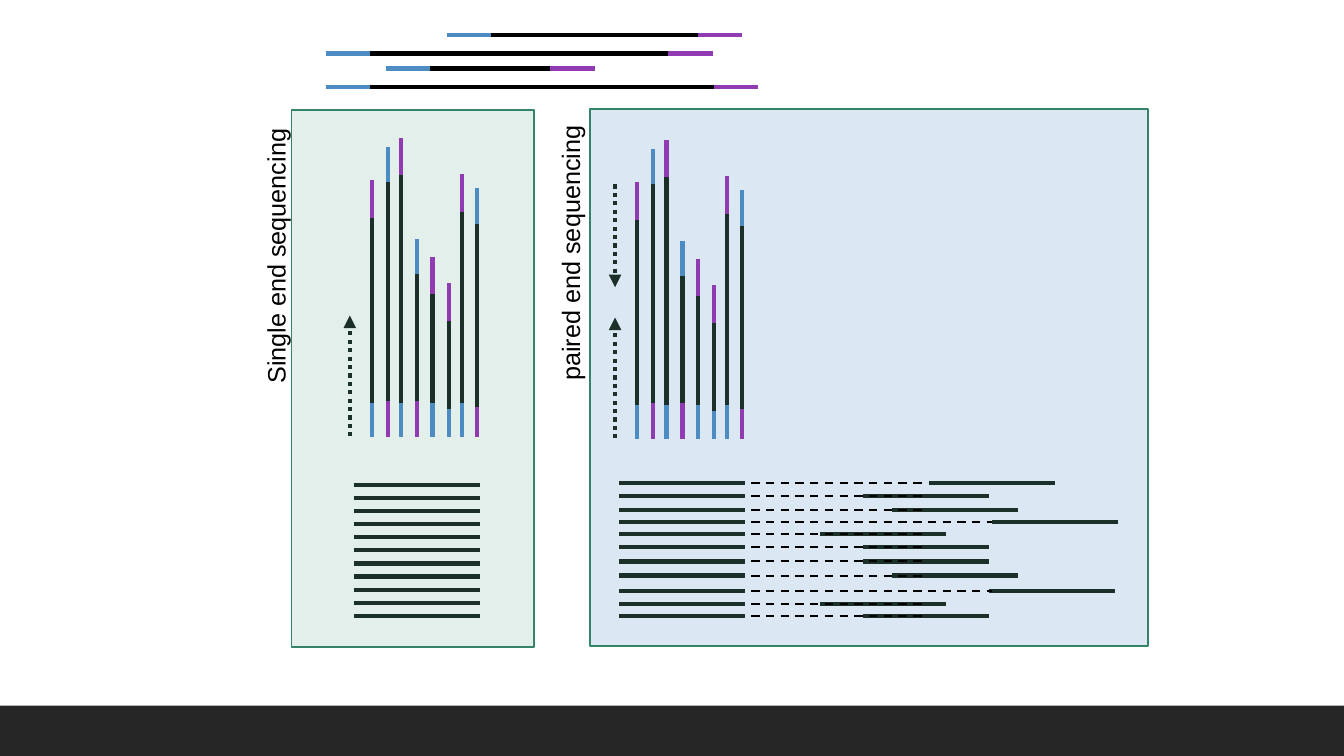
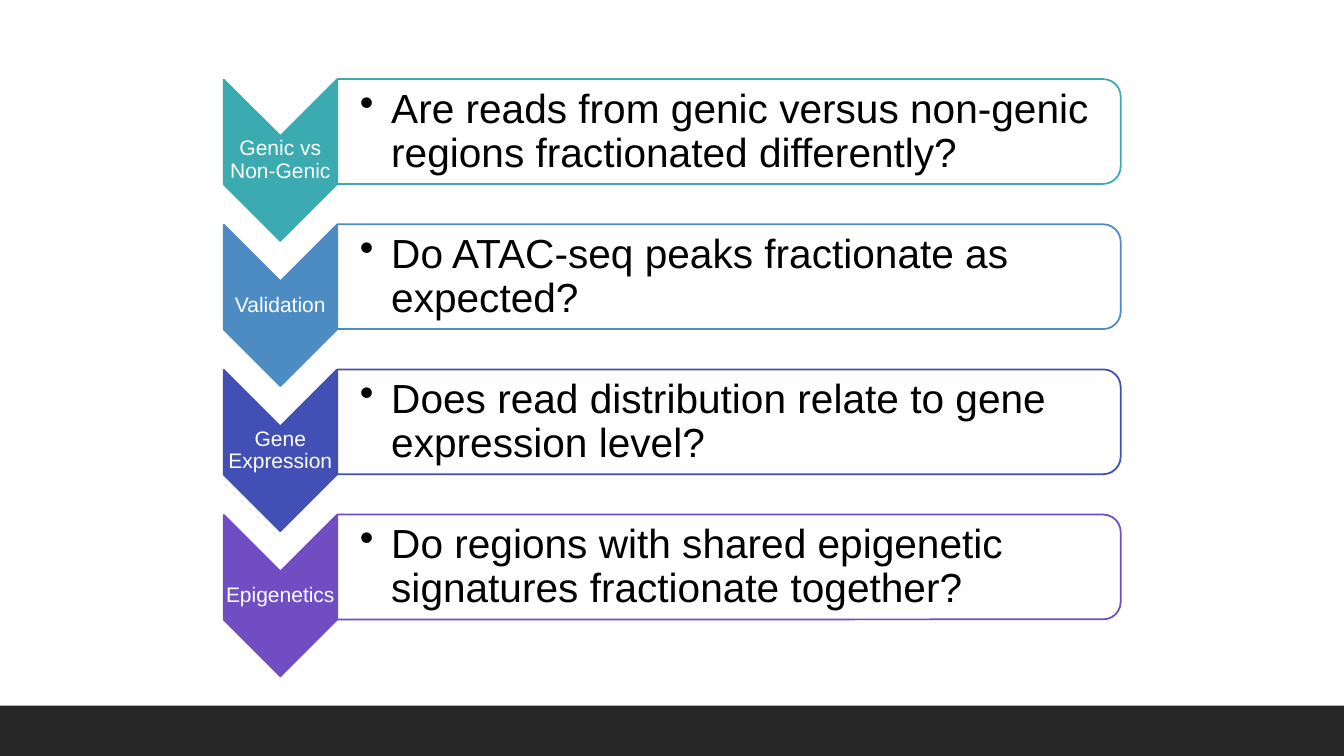
from pptx import Presentation, util as u
from pptx.dml.color import RGBColor
from pptx.enum import dml, shapes, text
from pptx.oxml.ns import qn
from lxml import etree

WIDTH, HEIGHT = 13.33, 7.5
FONT = "Arial"
BLACK, WHITE, BAND = "000000", "FFFFFF", "262626"
BLUE, PURPLE, DARK, PANEL_EDGE = "4D8CC3", "903BB1", "1B3028", "348467"
SHAPE, DASH = shapes.MSO_SHAPE, dml.MSO_LINE

# Sequencing slide
FRAGMENTS = [(0.35, 4.43, 7.36), (0.53, 3.23, 7.07),  # y, left, right
             (0.68, 3.83, 5.9), (0.86, 3.23, 7.52)]
ADAPTER = 0.44
STRANDS = [  # x, top, colour of the top end, length of the lower end
    (3.69, 1.79, PURPLE, 0.34), (3.85, 1.46, BLUE, 0.36),
    (3.98, 1.37, PURPLE, 0.34), (4.14, 2.37, BLUE, 0.36),
    (4.29, 2.55, PURPLE, 0.34), (4.45, 2.81, PURPLE, 0.28),
    (4.58, 1.73, PURPLE, 0.34), (4.73, 1.87, BLUE, 0.3)]
STRAND_BOTTOM = 4.34
END_LENGTH = {BLUE: 0.35, PURPLE: 0.37}
OPPOSITE = {BLUE: PURPLE, PURPLE: BLUE}
PANELS = [  # box, fill, label, label box, strand shift
    ((5.85, 1.08, 5.54, 5.33), "DBE8F3", "paired end sequencing",
     (3.99, 2.01, 3.33, 0.4), (2.63, 0.02)),
    ((2.89, 1.09, 2.41, 5.33), "E3EFEB", "Single end sequencing",
     (1.07, 2.04, 3.33, 0.4), (0, 0))]
READ_ARROWS = [(3.47, 4.33, 3.13), (6.1, 4.35, 3.15), (6.1, 1.83, 2.85)]
READ_LENGTH = 1.25
SINGLE_LEFT, SINGLE_TOP, SINGLE_STEP, SINGLE_COUNT = 3.51, 4.81, 0.13, 11
PAIRED_LEFT, GAP_LEFT, GAP_RIGHT, LONG_GAP_RIGHT = 6.14, 7.45, 9.15, 9.84
PAIRS = [  # y, left of the second read
    (4.79, 9.21), (4.92, 8.56), (5.06, 8.85), (5.18, 9.84), (5.3, 8.13),
    (5.43, 8.56), (5.57, 8.56), (5.71, 8.85), (5.86, 9.81), (5.99, 8.13),
    (6.11, 8.56)]

# Questions slide
QUESTIONS = [
    ("Genic vs Non-Genic", "3BABB1",
     "Are reads from genic versus non-genic regions fractionated differently?"),
    ("Validation", BLUE, "Do ATAC-seq peaks fractionate as expected?"),
    ("Gene Expression", "424FB4",
     "Does read distribution relate to gene expression level?"),
    ("Epigenetics", "704DC3",
     "Do regions with shared epigenetic signatures fractionate together?")]
QUESTION_PITCH = 1.44


def rgb(color):
    return RGBColor.from_string(color)


def inches(values):
    return [u.Inches(value) for value in values]


def add_box(slide, kind, box, fill, line=None, rotation=0, opacity=None):
    shape = slide.shapes.add_shape(kind, *inches(box))
    shape.shadow.inherit = False
    shape.rotation = rotation
    shape.fill.solid()
    shape.fill.fore_color.rgb = rgb(fill)
    if opacity is not None:
        color = shape.fill._xPr.find(f".//{qn('a:srgbClr')}")
        etree.SubElement(color, qn("a:alpha"), val=str(opacity * 1000))
    if line:
        shape.line.color.rgb = rgb(line)
        shape.line.width = u.Pt(1.25)
    else:
        shape.line.fill.background()
    return shape


def add_line(slide, start, end, color, width=3, dash=None, arrow=False):
    line = slide.shapes.add_connector(shapes.MSO_CONNECTOR.STRAIGHT,
                                      *inches(start + end))
    line.line.color.rgb = rgb(color)
    line.line.width = u.Pt(width)
    if dash:
        line.line.dash_style = dash
    properties = line._element.spPr
    if arrow:
        etree.SubElement(properties.find(qn("a:ln")), qn("a:tailEnd"), type="triangle")
    etree.SubElement(properties, qn("a:effectLst"))


def add_text(slide, words, box, size, color=BLACK, align=text.PP_ALIGN.LEFT,
             anchor=text.MSO_ANCHOR.TOP, insets=(0.1, 0.05, 0.1, 0.05),
             spacing=None, bullet_indent=None, rotation=0):
    shape = slide.shapes.add_textbox(*inches(box))
    shape.rotation = rotation
    frame = shape.text_frame
    frame.word_wrap = True
    frame.vertical_anchor = anchor
    (frame.margin_left, frame.margin_top,
     frame.margin_right, frame.margin_bottom) = inches(insets)
    paragraph = frame.paragraphs[0]
    if bullet_indent:
        properties = paragraph._p.get_or_add_pPr()
        indent = u.Inches(bullet_indent)
        properties.set("marL", str(indent))
        properties.set("indent", str(-indent))
        etree.SubElement(properties, qn("a:buChar"), char="•")
    paragraph.alignment = align
    paragraph.line_spacing = spacing
    run = paragraph.add_run()
    run.text = words
    run.font.name = FONT
    run.font.size = u.Pt(size)
    run.font.color.rgb = rgb(color)


def add_slide(presentation):
    """Add a blank slide with the dark band at its foot."""
    slide = presentation.slides.add_slide(presentation.slide_layouts[6])
    add_box(slide, SHAPE.RECTANGLE, (0, 7, WIDTH, 0.5), BAND)
    return slide


def add_read(slide, left, y):
    add_line(slide, (left, y), (left + READ_LENGTH, y), DARK)


def add_strand(slide, x, top, bottom, top_color, lower_length):
    upper, lower = top + END_LENGTH[top_color], bottom - lower_length
    add_line(slide, (x, upper), (x, lower), DARK)
    add_line(slide, (x, top), (x, upper), top_color)
    add_line(slide, (x, lower), (x, bottom), OPPOSITE[top_color])


def build_sequencing(presentation):
    slide = add_slide(presentation)
    for box, fill, label, label_box, (shift_x, shift_y) in PANELS:
        add_box(slide, SHAPE.RECTANGLE, box, fill, PANEL_EDGE)
        add_text(slide, label, label_box, 18, rotation=270)
        for x, top, top_color, lower_length in STRANDS:
            add_strand(slide, x + shift_x, top + shift_y,
                       STRAND_BOTTOM + shift_y, top_color, lower_length)
    for y, left, right in FRAGMENTS:
        add_line(slide, (left + ADAPTER, y), (right - ADAPTER, y), BLACK)
        add_line(slide, (left, y), (left + ADAPTER, y), BLUE)
        add_line(slide, (right - ADAPTER, y), (right, y), PURPLE)
    for x, start, end in READ_ARROWS:
        add_line(slide, (x, start), (x, end), DARK, dash=DASH.ROUND_DOT, arrow=True)
    for row in range(SINGLE_COUNT):
        add_read(slide, SINGLE_LEFT, SINGLE_TOP + row * SINGLE_STEP)
    for y, mate_left in PAIRS:
        add_read(slide, PAIRED_LEFT, y)
        add_read(slide, mate_left, y)
        gap_right = LONG_GAP_RIGHT if mate_left > 9.5 else GAP_RIGHT
        add_line(slide, (GAP_LEFT, y), (gap_right, y), BLACK, 1.5, DASH.DASH)


def build_questions(presentation):
    slide = add_slide(presentation)
    middle = text.MSO_ANCHOR.MIDDLE
    for row, (topic, color, question) in enumerate(QUESTIONS):
        offset = row * QUESTION_PITCH
        add_box(slide, SHAPE.CHEVRON, (1.98, 1.03 + offset, 1.6, 1.12),
                color, color, rotation=90)
        add_text(slide, topic, (2.22, 1.35 + offset, 1.12, 0.48), 15, WHITE,
                 text.PP_ALIGN.CENTER, middle, (0.01,) * 4, 0.9)
        add_box(slide, SHAPE.ROUND_2_SAME_RECTANGLE,
                (6.71, -2.58 + offset, 1.04, 7.77), WHITE, color,
                rotation=90, opacity=90)
        add_text(slide, question, (3.34, 0.84 + offset, 7.72, 0.94), 29,
                 anchor=middle, insets=(0.23, 0.02, 0.02, 0.02),
                 spacing=0.9, bullet_indent=0.31)


def main():
    presentation = Presentation()
    presentation.slide_width, presentation.slide_height = inches((WIDTH, HEIGHT))
    build_sequencing(presentation)
    build_questions(presentation)
    presentation.save("out.pptx")


if __name__ == "__main__":
    main()
